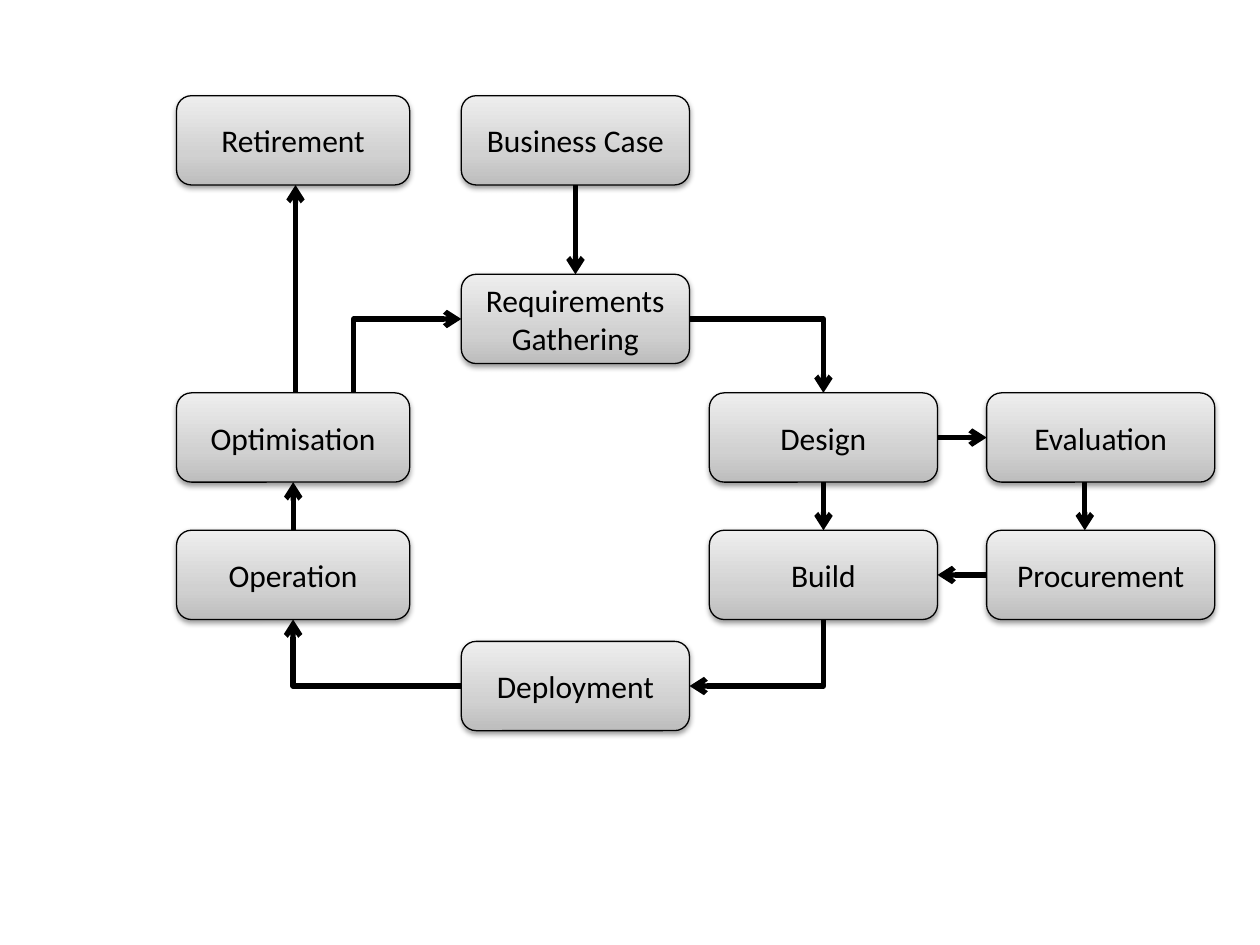
from lxml import etree
from pptx import Presentation
from pptx import util as u
from pptx.dml.color import RGBColor
from pptx.enum import shapes, text
from pptx.oxml import ns

COLORS = {"ink": "000000", "dark": "BDBDBD", "middle": "D1D1D1", "light": "EEEEEE"}
GRADIENT = ((0, "dark"), (35, "middle"), (100, "light"))
HEIGHT = 1.8
COLUMNS = {"left": (3.56, 4.7), "centre": (9.3, 4.6), "inner": (14.3, 4.6), "outer": (19.89, 4.6)}
ROWS = {"top": 1.93, "second": 5.53, "third": 7.92, "fourth": 10.69, "bottom": 12.93}
STAGES = {
    "Business Case": ("centre", "top"),
    "Requirements Gathering": ("centre", "second"),
    "Procurement": ("outer", "fourth"),
    "Build": ("inner", "fourth"),
    "Deployment": ("centre", "bottom"),
    "Retirement": ("left", "top"),
    "Optimisation": ("left", "third"),
    "Operation": ("left", "fourth"),
    "Design": ("inner", "third"),
    "Evaluation": ("outer", "third"),
}


def port(stage, across, down):
    column, row = STAGES[stage]
    left, width = COLUMNS[column]
    return left + width * across, ROWS[row] + HEIGHT * down


def add_xml(parent, tag, **attributes):
    return etree.SubElement(parent, ns.qn(tag), attributes)


class Flowchart:
    font = "Calibri"
    size = 18
    arrow_width = 3
    border_width = 0.75

    def __init__(self, page):
        self.page = page

    def color(self, name):
        return RGBColor.from_string(COLORS[name])

    def stage(self, label):
        column, row = STAGES[label]
        left, width = COLUMNS[column]
        box = self.page.shapes.add_shape(
            shapes.MSO_SHAPE.ROUNDED_RECTANGLE,
            u.Cm(left), u.Cm(ROWS[row]), u.Cm(width), u.Cm(HEIGHT))
        box.line.color.rgb = self.color("ink")
        box.line.width = u.Pt(self.border_width)
        self.shade(box)
        self.cast_shadow(box)
        frame = box.text_frame
        frame.word_wrap = True
        frame.vertical_anchor = text.MSO_ANCHOR.MIDDLE
        para = frame.paragraphs[0]
        para.alignment = text.PP_ALIGN.CENTER
        span = para.add_run()
        span.text = label
        span.font.name = self.font
        span.font.size = u.Pt(self.size)
        span.font.color.rgb = self.color("ink")

    def shade(self, box):
        box.fill.gradient()
        box.fill.gradient_angle = 90
        stops = box._element.spPr.find(".//" + ns.qn("a:gsLst"))
        for stop in list(stops):
            stops.remove(stop)
        for place, name in GRADIENT:
            stop = add_xml(stops, "a:gs", pos=str(place * 1000))
            add_xml(stop, "a:srgbClr", val=COLORS[name])

    def cast_shadow(self, box):
        box.shadow.inherit = False
        effects = box._element.spPr.find(ns.qn("a:effectLst"))
        shadow = add_xml(effects, "a:outerShdw", blurRad="40000", dist="20000",
                         dir="5400000", rotWithShape="0")
        tint = add_xml(shadow, "a:srgbClr", val=COLORS["ink"])
        add_xml(tint, "a:alpha", val="38000")

    def arrow(self, start, end, kind=shapes.MSO_CONNECTOR.STRAIGHT):
        line = self.page.shapes.add_connector(
            kind, *(u.Cm(value) for value in (*start, *end)))
        line.line.color.rgb = self.color("ink")
        line.line.width = u.Pt(self.arrow_width)
        add_xml(line.line._get_or_add_ln(), "a:tailEnd", type="arrow")
        add_xml(line._element.spPr, "a:effectLst")
        return line

    def corner(self, start, end, vertical_first=False):
        (x1, y1), (x2, y2) = start, end
        if vertical_first:
            middle_x, middle_y = (x1 + x2) / 2, (y1 + y2) / 2
            half_w, half_h = abs(y2 - y1) / 2, abs(x2 - x1) / 2
            start = middle_x - half_w, middle_y - half_h
            end = middle_x + half_w, middle_y + half_h
        line = self.arrow(start, end, shapes.MSO_CONNECTOR.ELBOW)
        properties = line._element.spPr
        properties.find(ns.qn("a:prstGeom")).set("prst", "bentConnector2")
        if vertical_first:
            angle = 90 if y2 > y1 else 270
            properties.find(ns.qn("a:xfrm")).set("rot", str(angle * 60000))


deck = Presentation()
deck.slide_width, deck.slide_height = u.Cm(25.4), u.Cm(19.05)
chart = Flowchart(deck.slides.add_slide(deck.slide_layouts[6]))

for start, end in (
    (port("Business Case", 0.5, 1), port("Requirements Gathering", 0.5, 0)),
    (port("Design", 1, 0.5), port("Evaluation", 0, 0.5)),
    (port("Procurement", 0, 0.5), port("Build", 1, 0.5)),
    (port("Operation", 0.5, 0), port("Optimisation", 0.5, 1)),
    (port("Optimisation", 0.51, 0), port("Retirement", 0.51, 1)),
    (port("Design", 0.5, 1), port("Build", 0.5, 0)),
    (port("Evaluation", 0.43, 1), port("Procurement", 0.43, 0)),
):
    chart.arrow(start, end)

chart.corner(port("Requirements Gathering", 1, 0.5), port("Design", 0.5, 0))
chart.corner(port("Build", 0.5, 1), port("Deployment", 1, 0.5), vertical_first=True)
chart.corner(port("Deployment", 0, 0.5), port("Operation", 0.5, 1))
chart.corner(port("Optimisation", 0.76, 0), port("Requirements Gathering", 0, 0.5),
             vertical_first=True)

for label in STAGES:
    chart.stage(label)

deck.save("out.pptx")
